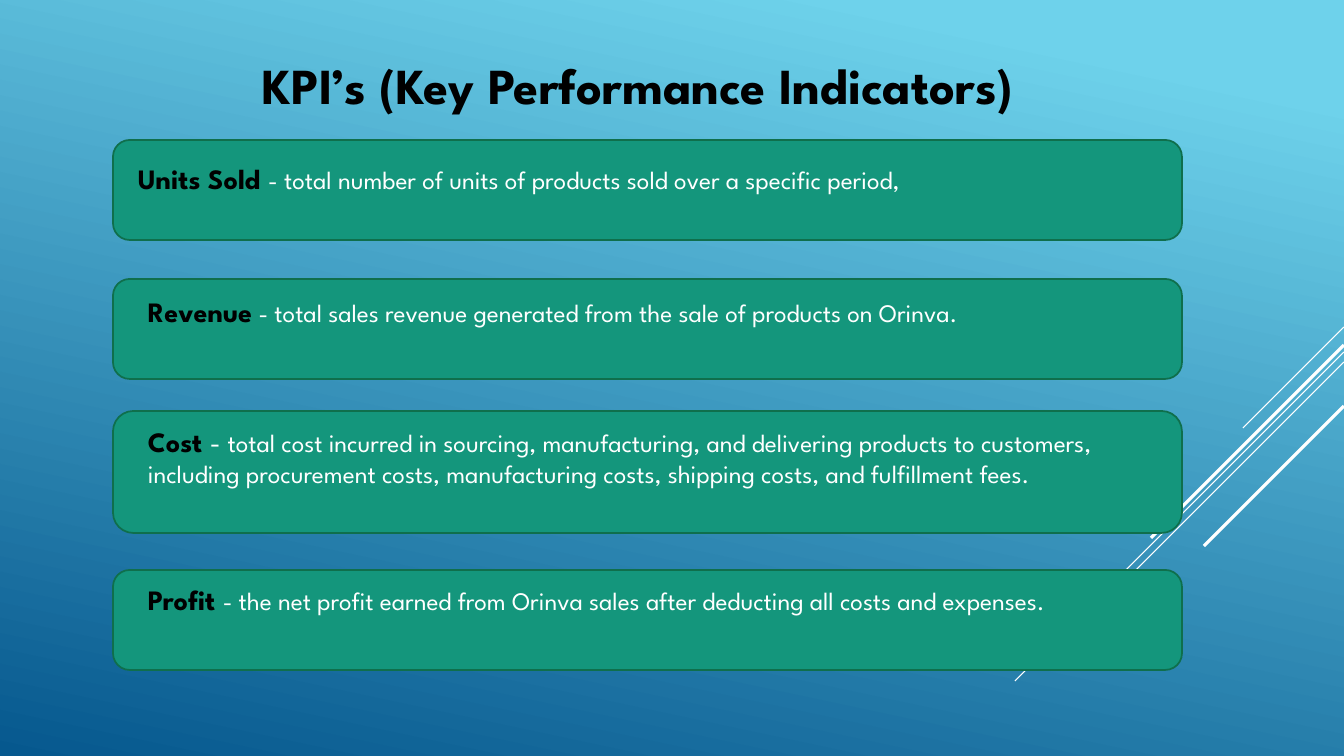
from lxml import etree
from pptx import Presentation
from pptx.dml.color import RGBColor
from pptx.enum.shapes import MSO_CONNECTOR, MSO_SHAPE
from pptx.enum.text import PP_ALIGN
from pptx.oxml.ns import qn
from pptx.util import Emu, Pt

STRAIGHT = MSO_CONNECTOR.STRAIGHT
ROUNDED = MSO_SHAPE.ROUNDED_RECTANGLE
CENTER, LEFT = PP_ALIGN.CENTER, PP_ALIGN.LEFT

WIDTH, HEIGHT = 1344, 756
EMU_PER_PX = 12192000 / WIDTH
FONT = "League Spartan"
COLORS = {
    "sky": "6ED2EB",
    "deep": "06588E",
    "card": "14967C",
    "border": "0F6F4C",
    "term": "000000",
    "text": "FFFFFF",
    "streak": "FFFFFF",
}

CARD_LEFT, CARD_WIDTH = 113, 1069

# start y on the right edge, horizontal run, line width in points
STREAKS = [
    (327, 101, 0.75),
    (352, 329, 0.75),
    (362, 209, 0.75),
    (345, 193, 2.25),
    (406, 140, 2.25),
]

# card top and height, text box, then runs of (text, size, colour, bold)
KPIS = [
    (140, 100, (128, 157, 1019, 44), [
        ("Units Sold ", 20, "term", True),
        ("- total number of units of products sold over a specific period,",
         18, "text", False)]),
    (279, 100, (138, 290, 1023, 44), [
        ("Revenue", 20, "term", True),
        (" - total sales revenue generated from the sale of products on Orinva.",
         18, "text", False)]),
    (411, 122, (138, 420, 1009, 105), [
        ("Cost ", 20, "term", True),
        ("- ", 20, "text", False),
        ("total cost incurred in sourcing, manufacturing, and delivering "
         "products to customers, including procurement costs, manufacturing "
         "costs, shipping costs, and fulfillment fees.",
         18, "text", False)]),
    (570, 100, (138, 578, 1023, 75), [
        ("Profit ", 20, "term", True),
        ("- the net profit earned from Orinva sales after deducting all costs "
         "and expenses.", 18, "text", False)]),
]


def px(n):
    return Emu(round(n * EMU_PER_PX))


def rgb(name):
    return RGBColor.from_string(COLORS[name])


def set_background(s):
    fill = s.background.fill
    fill.gradient()
    fill.gradient_angle = 258
    for stop, name, position in zip(fill.gradient_stops, ("sky", "deep"), (0.1, 1)):
        stop.color.rgb = rgb(name)
        stop.position = position


def add_streak(s, y, run, weight):
    """Draw a 45-degree line down and left from the slide's right edge."""
    line = s.shapes.add_connector(
        STRAIGHT, px(WIDTH), px(y), px(WIDTH - run), px(y + run))
    line.line.color.rgb = rgb("streak")
    line.line.width = Pt(weight)
    etree.SubElement(line._element.spPr, qn("a:effectLst"))


def add_card(s, top, height):
    sp = s.shapes.add_shape(
        ROUNDED, px(CARD_LEFT), px(top), px(CARD_WIDTH), px(height))
    sp.shadow.inherit = False
    sp.fill.solid()
    sp.fill.fore_color.rgb = rgb("card")
    sp.line.color.rgb = rgb("border")
    sp.line.width = Pt(1.25)


def add_text(s, box, runs, align=LEFT):
    tf = s.shapes.add_textbox(*map(px, box)).text_frame
    tf.word_wrap = True
    p = tf.paragraphs[0]
    p.alignment = align
    p.font.name = FONT
    for text, size, color, bold in runs:
        r = p.add_run()
        r.text = text
        r.font.name = FONT
        r.font.size = Pt(size)
        r.font.bold = bold
        r.font.color.rgb = rgb(color)


def main():
    prs = Presentation()
    prs.slide_width, prs.slide_height = px(WIDTH), px(HEIGHT)
    s = prs.slides.add_slide(prs.slide_layouts[6])
    set_background(s)
    for streak in STREAKS:
        add_streak(s, *streak)
    add_text(s, (155, 49, 966, 72),
             [("KPI’s (Key Performance Indicators)", 36, "term", True)], CENTER)
    for top, height, box, runs in KPIS:
        add_card(s, top, height)
        add_text(s, box, runs)
    prs.save("out.pptx")


if __name__ == "__main__":
    main()
